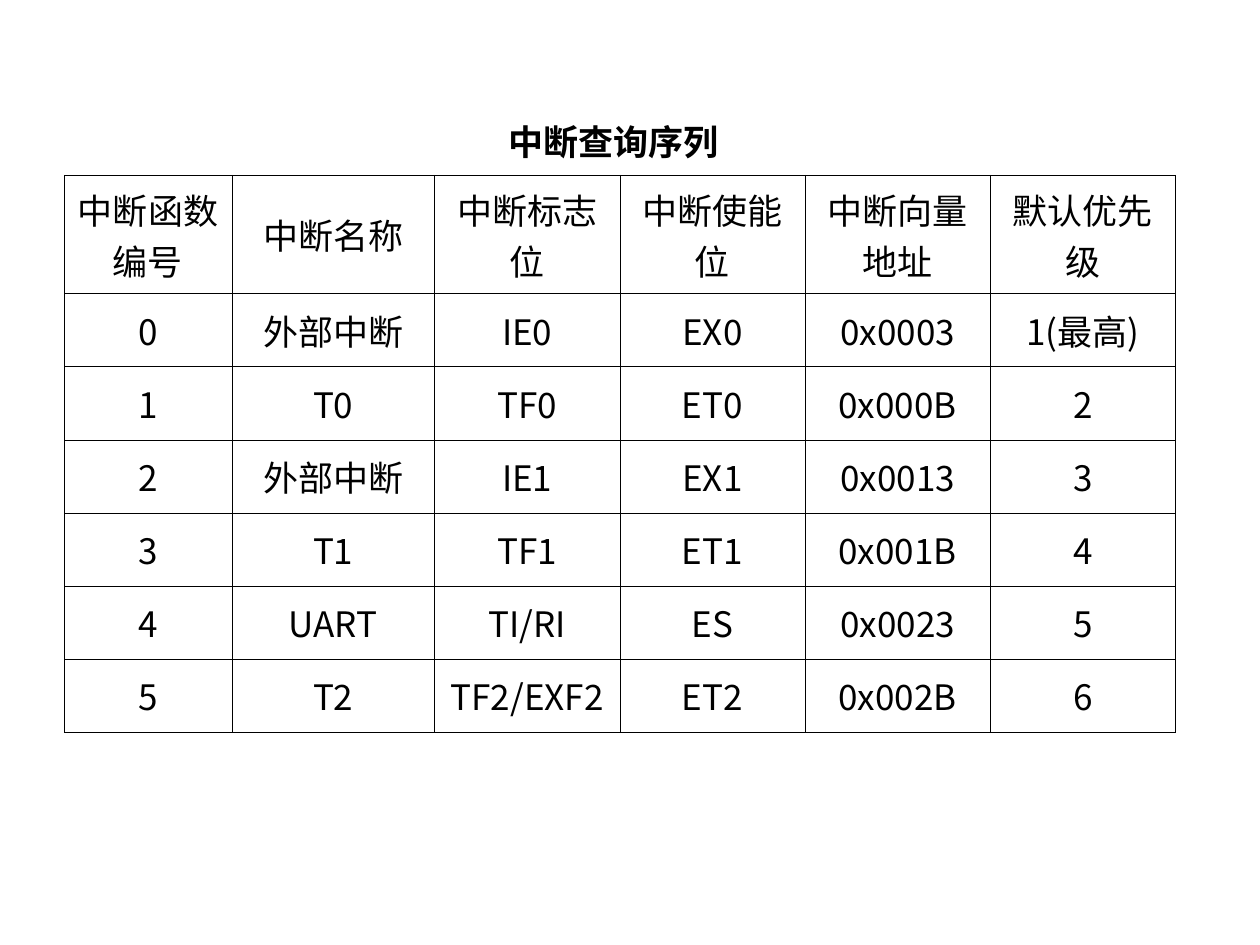
from lxml.etree import SubElement
from pptx import Presentation
from pptx.dml.color import RGBColor
from pptx.enum.text import MSO_ANCHOR, MSO_AUTO_SIZE, PP_ALIGN
from pptx.oxml.ns import qn
from pptx.util import Inches, Pt

HEADINGS = ["中断函数编号", "中断名称", "中断标志位", "中断使能位", "中断向量地址", "默认优先级"]
INTERRUPTS = [
    ["0", "外部中断", "IE0", "EX0", "0x0003", "1(最高)"],
    ["1", "T0", "TF0", "ET0", "0x000B", "2"],
    ["2", "外部中断", "IE1", "EX1", "0x0013", "3"],
    ["3", "T1", "TF1", "ET1", "0x001B", "4"],
    ["4", "UART", "TI/RI", "ES", "0x0023", "5"],
    ["5", "T2", "TF2/EXF2", "ET2", "0x002B", "6"],
]
COLUMN_WIDTHS = [1.33, 1.61] + [1.47] * 4
ROW_HEIGHTS = [0.94] + [0.58] * len(INTERRUPTS)


def color(value):
    return RGBColor.from_string(value)


class SlideBuilder:
    font_name = "Noto Sans CJK SC"
    font_size = 20
    ink = "000000"
    border_width = 0.23

    def __init__(self, presentation):
        self.width = presentation.slide_width
        self.height = presentation.slide_height
        self.slide = presentation.slides.add_slide(presentation.slide_layouts[5])

    def across(self, share):
        return round(self.width * share)

    def down(self, share):
        return round(self.height * share)

    def set_text(self, frame, text, bold=False):
        frame.text = text
        paragraph = frame.paragraphs[0]
        paragraph.alignment = PP_ALIGN.CENTER
        paragraph.space_before = Pt(0)
        for run in paragraph.runs:
            run.font.name = self.font_name
            run.font.size = Pt(self.font_size)
            run.font.bold = bold
            run.font.color.rgb = color(self.ink)
            SubElement(run.font._element, qn("a:ea"), typeface=self.font_name)

    def title(self, text, left, top, width, height):
        heading = self.slide.shapes.title
        heading.left, heading.top = self.across(left), self.down(top)
        heading.width, heading.height = self.across(width), self.down(height)
        frame = heading.text_frame
        frame.word_wrap = True
        frame.auto_size = MSO_AUTO_SIZE.SHAPE_TO_FIT_TEXT
        frame.vertical_anchor = MSO_ANCHOR.TOP
        self.set_text(frame, text, bold=True)

    def border(self, cell):
        properties = cell._tc.get_or_add_tcPr()
        for side in ("lnL", "lnR", "lnT", "lnB"):
            line = SubElement(properties, qn(f"a:{side}"), w=str(Pt(self.border_width)))
            fill = SubElement(line, qn("a:solidFill"))
            SubElement(fill, qn("a:srgbClr"), val=self.ink)

    def table(self, rows, left, top, widths, heights):
        grid = self.slide.shapes.add_table(
            len(rows), len(widths), self.across(left), self.down(top),
            self.across(sum(widths)), self.down(sum(heights))).table
        grid.first_row = grid.horz_banding = False
        for column, width in zip(grid.columns, widths):
            column.width = self.across(width)
        for row, height, texts in zip(grid.rows, heights, rows):
            row.height = self.down(height)
            for cell, text in zip(row.cells, texts):
                self.border(cell)
                cell.fill.background()
                cell.vertical_anchor = MSO_ANCHOR.MIDDLE
                self.set_text(cell.text_frame, text)


def main():
    presentation = Presentation()
    presentation.slide_width = Inches(10)
    presentation.slide_height = Inches(7.5)
    builder = SlideBuilder(presentation)
    builder.title("中断查询序列", 2.09 / 10, 0.91 / 7.5, 5.56 / 10, 0.44 / 7.5)
    builder.table(
        [HEADINGS] + INTERRUPTS, 0.51 / 10, 1.39 / 7.5,
        [width / 10 for width in COLUMN_WIDTHS],
        [height / 7.5 for height in ROW_HEIGHTS])
    presentation.save("out.pptx")


if __name__ == "__main__":
    main()
